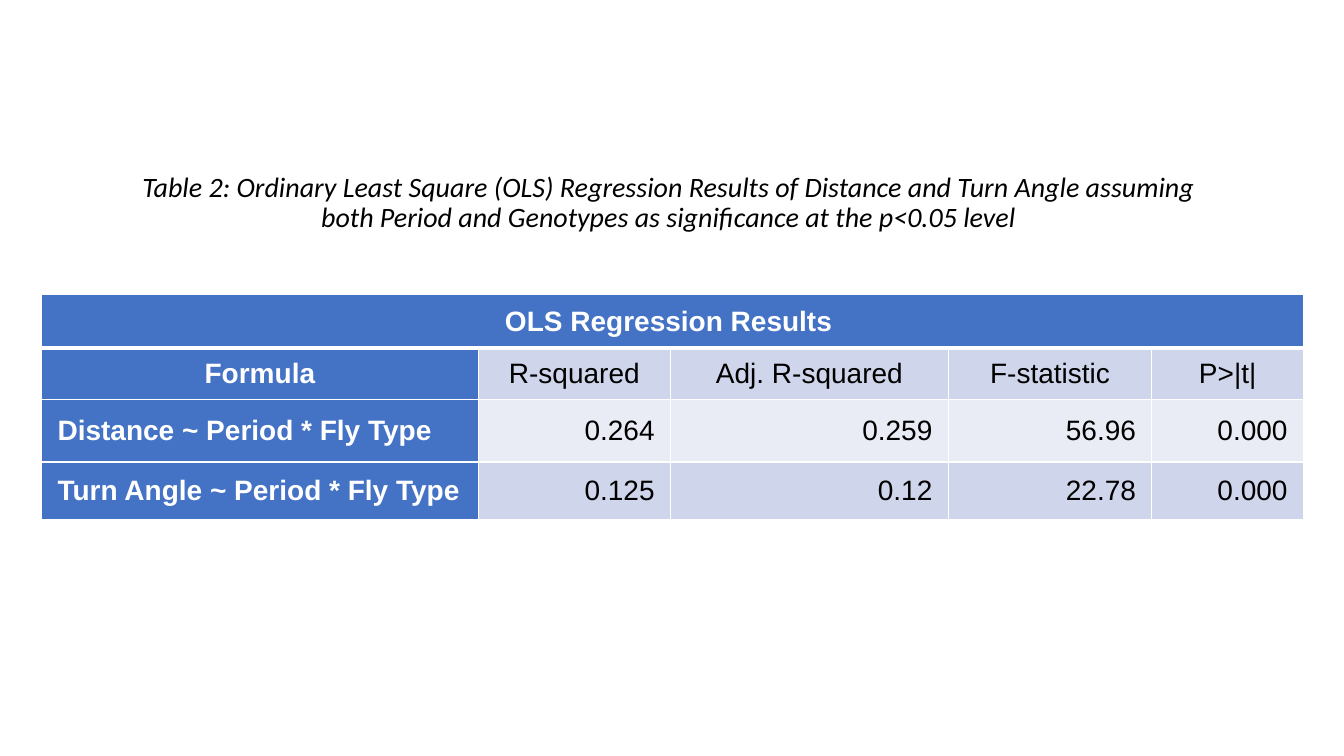
"""Build a slide with a captioned table of OLS regression results."""
from lxml import etree
from pptx import Presentation
from pptx.dml.color import RGBColor
from pptx.enum.text import MSO_ANCHOR, MSO_AUTO_SIZE, PP_ALIGN
from pptx.oxml.ns import qn
from pptx.util import Cm, Pt

LEFT, CENTER, RIGHT = PP_ALIGN.LEFT, PP_ALIGN.CENTER, PP_ALIGN.RIGHT
MIDDLE = MSO_ANCHOR.MIDDLE
NO_AUTOFIT = MSO_AUTO_SIZE.NONE
COLORS = {
    "header": "4472C4",
    "band_dark": "CFD5EA",
    "band_light": "E9EBF5",
    "light_text": "FFFFFF",
    "dark_text": "000000",
    "border": "FFFFFF",
}
CAPTION = (
    "Table 2: Ordinary Least Square (OLS) Regression Results of Distance and Turn Angle "
    "assuming both Period and Genotypes as significance at the p<0.05 level"
)
ROWS = [
    ["OLS Regression Results ", "", "", "", ""],
    ["Formula", "R-squared", "Adj. R-squared", "F-statistic", "P>|t|"],
    ["Distance ~ Period * Fly Type", "0.264", "0.259", "56.96", "0.000"],
    ["Turn Angle ~ Period * Fly Type", "0.125", "0.12", "22.78", "0.000"],
]
COLUMN_WIDTHS = [11, 4.85, 7, 5.13, 3.82]
ROW_HEIGHTS = [1.35, 1.3, 1.57, 1.45]


def write_text(paragraph, text, color, alignment, **font_values):
    paragraph.alignment = alignment
    run = paragraph.add_run()
    run.text = text
    run.font.color.rgb = RGBColor.from_string(COLORS[color])
    for name, value in {"size": Pt(20), **font_values}.items():
        setattr(run.font, name, value)


def add_border(cell, side, width):
    properties = cell._tc.get_or_add_tcPr()
    line = etree.SubElement(properties, qn(f"a:ln{side}"), w=str(Pt(width)))
    fill = etree.SubElement(line, qn("a:solidFill"))
    etree.SubElement(fill, qn("a:srgbClr"), val=COLORS["border"])


presentation = Presentation()
presentation.slide_width, presentation.slide_height = Cm(33.87), Cm(19.05)
title_only_layout = presentation.slide_layouts[5]
slide = presentation.slides.add_slide(title_only_layout)

title = slide.shapes.title
title.left, title.top, title.width, title.height = Cm(2.8), Cm(4.06), Cm(28.1), Cm(2.14)
frame_format = {"word_wrap": True, "auto_size": NO_AUTOFIT, "vertical_anchor": MIDDLE}
for name, value in frame_format.items():
    setattr(title.text_frame, name, value)
caption = title.text_frame.paragraphs[0]
caption.line_spacing = 0.9
caption.space_after = Pt(10)
write_text(caption, CAPTION, "dark_text", CENTER, name="Calibri", italic=True)

table = slide.shapes.add_table(
    len(ROWS), len(COLUMN_WIDTHS), Cm(1.05), Cm(7.42),
    Cm(sum(COLUMN_WIDTHS)), Cm(sum(ROW_HEIGHTS)),
).table
table.first_col = True
for column, width in zip(table.columns, COLUMN_WIDTHS):
    column.width = Cm(width)
for row, height in zip(table.rows, ROW_HEIGHTS):
    row.height = Cm(height)
table.cell(0, 0).merge(table.cell(0, len(COLUMN_WIDTHS) - 1))

cell_format = {
    "vertical_anchor": MIDDLE,
    "margin_left": Cm(0.4),
    "margin_right": Cm(0.4),
    "margin_top": 0,
    "margin_bottom": 0,
}
for row_index, texts in enumerate(ROWS):
    band = "band_dark" if row_index % 2 else "band_light"
    for column_index, text in enumerate(texts):
        cell = table.cell(row_index, column_index)
        is_header = row_index == 0 or column_index == 0
        for name, value in cell_format.items():
            setattr(cell, name, value)
        border_widths = {
            "L": 1,
            "R": 1,
            "T": 3 if row_index == 1 else 1,
            "B": 3 if row_index == 0 else 1,
        }
        for side, width in border_widths.items():
            add_border(cell, side, width)
        cell.fill.solid()
        cell.fill.fore_color.rgb = RGBColor.from_string(COLORS["header" if is_header else band])
        if cell.is_spanned:
            continue
        if row_index < 2:
            alignment = CENTER
        else:
            alignment = LEFT if is_header else RIGHT
        color = "light_text" if is_header else "dark_text"
        paragraph = cell.text_frame.paragraphs[0]
        write_text(paragraph, text, color, alignment, name="Arial", bold=is_header)

presentation.save("out.pptx")
